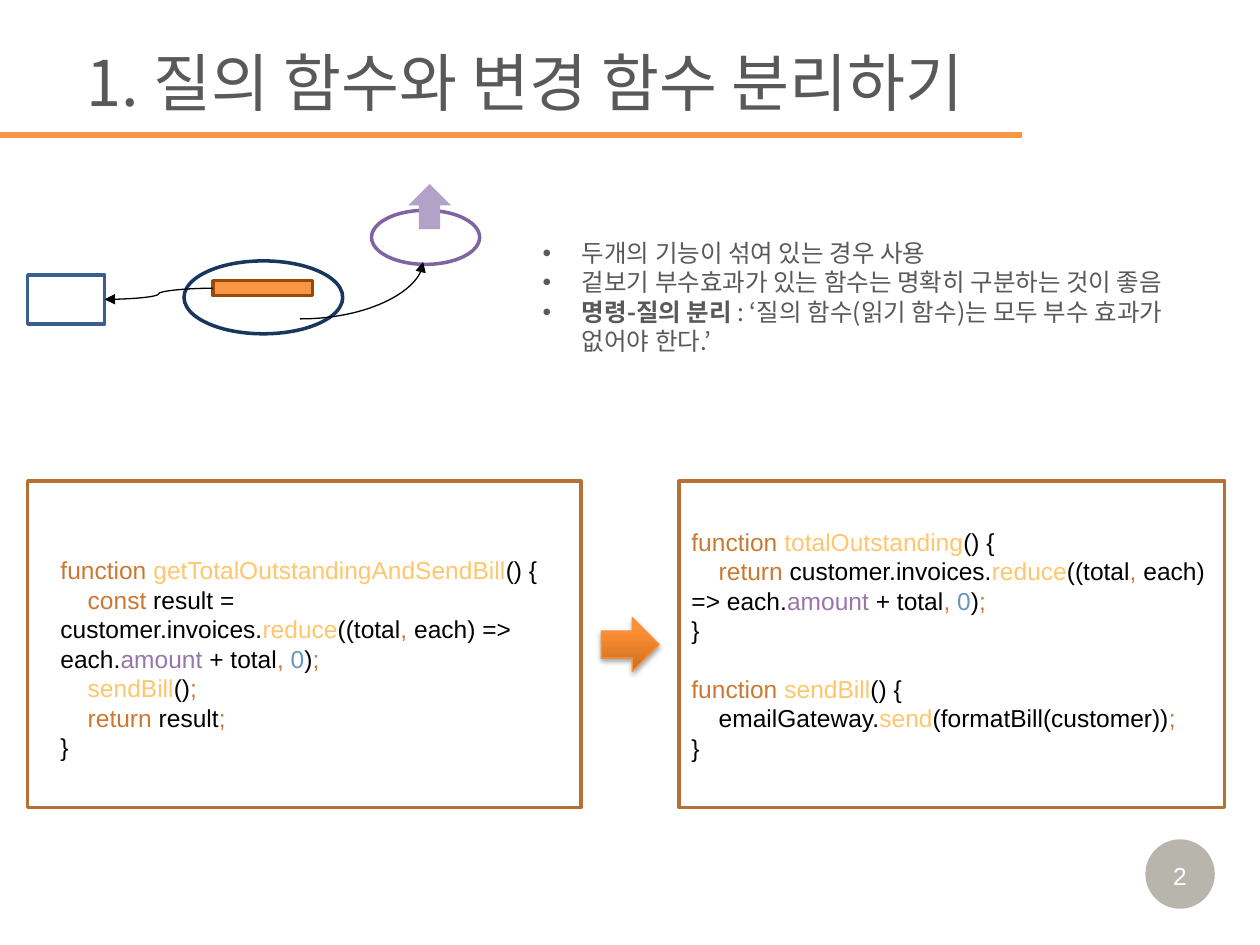
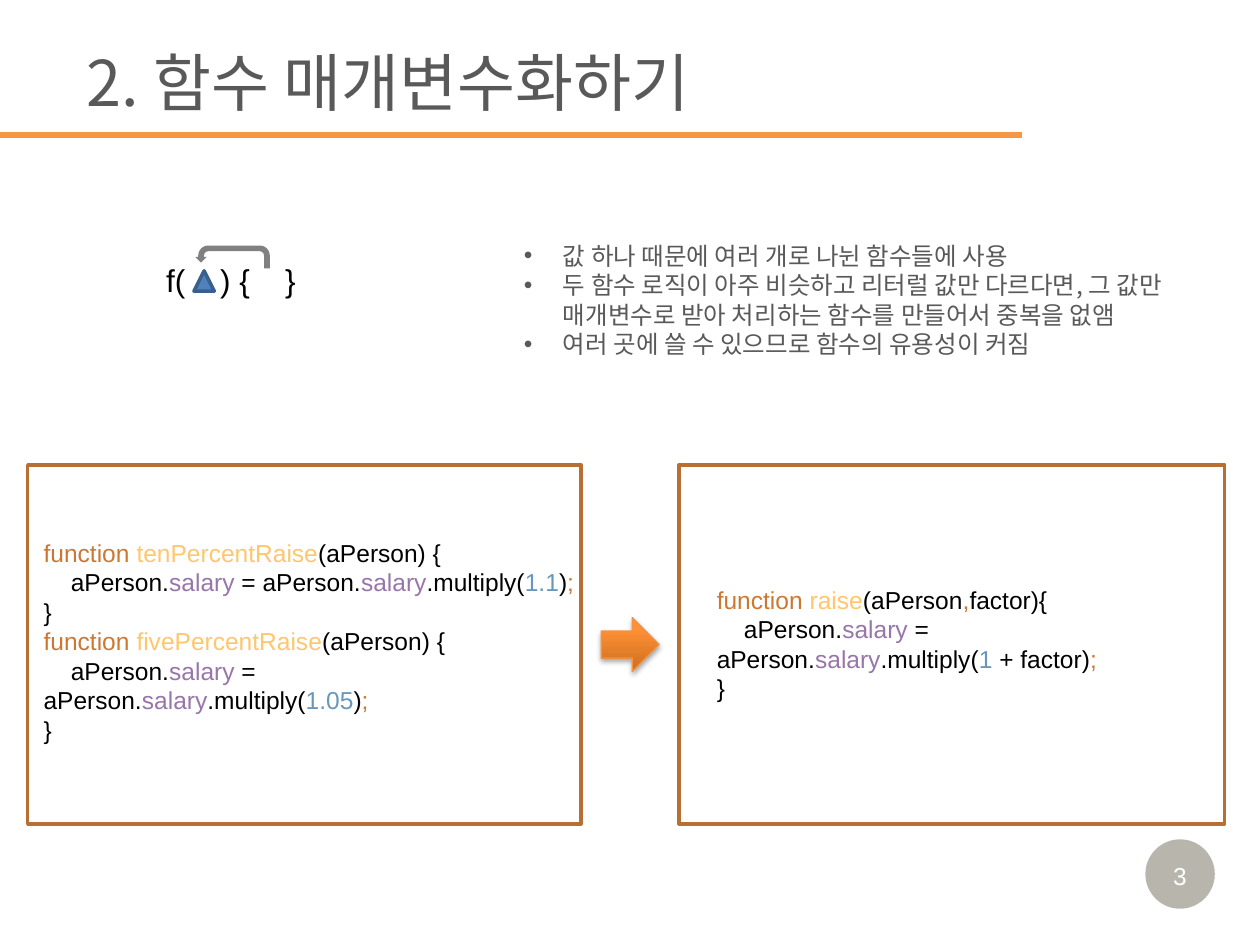
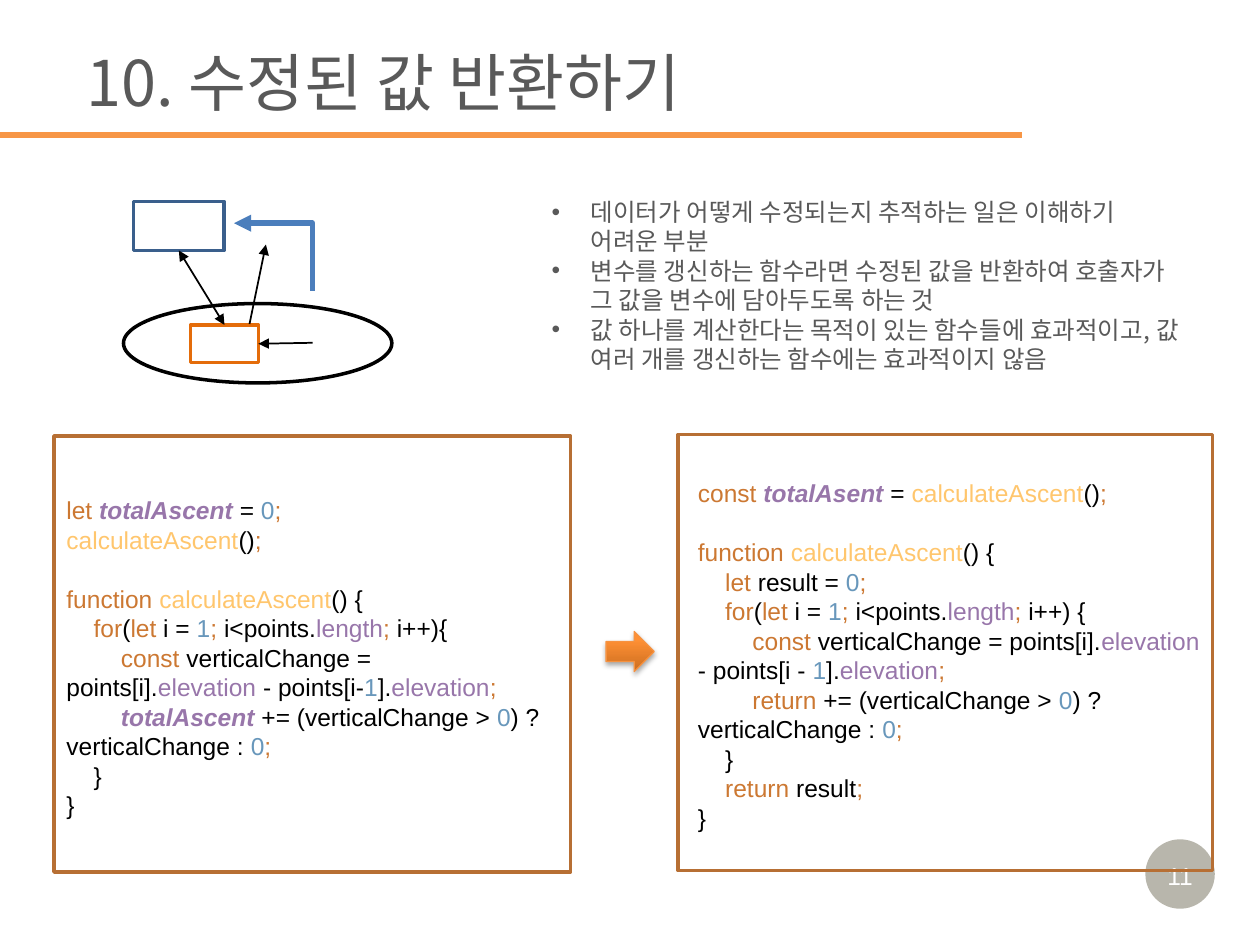
from itertools import groupby

from pptx import Presentation
from pptx.dml.color import RGBColor
from pptx.enum.shapes import MSO_CONNECTOR, MSO_SHAPE
from pptx.enum.text import MSO_ANCHOR, PP_ALIGN
from pptx.oxml.ns import qn
from pptx.util import Cm, Pt
from lxml import etree

RECT, OVAL = MSO_SHAPE.RECTANGLE, MSO_SHAPE.OVAL
RIGHT, UP = MSO_SHAPE.RIGHT_ARROW, MSO_SHAPE.UP_ARROW
TURN, PEAK = MSO_SHAPE.U_TURN_ARROW, MSO_SHAPE.ISOSCELES_TRIANGLE
LINE, CURVE, BENT = MSO_CONNECTOR.STRAIGHT, MSO_CONNECTOR.CURVE, MSO_CONNECTOR.ELBOW
TOP, MIDDLE, CENTER = MSO_ANCHOR.TOP, MSO_ANCHOR.MIDDLE, PP_ALIGN.CENTER

LATIN, KOREAN = "Arial", "Noto Sans CJK KR"
BLACK, WHITE, GRAY, ORANGE = "000000", "FFFFFF", "595959", "F79646"
FRAME, BLUE = "B76F34", "3A5F8C"
LEADING = Pt(16.85)
SPACE = Pt(3.89)

# Code colours by word
WORDS = {
    "CC7832": "function const return let for , ;",
    "FFC66D": "getTotalOutstandingAndSendBill totalOutstanding reduce sendBill send "
              "tenPercentRaise fivePercentRaise raise calculateAscent",
    "9876AA": "amount salary length elevation totalAscent totalAsent",
}
TINTS = {word: tint for tint, words in WORDS.items() for word in words.split()}
STRONG = {"totalAscent", "totalAsent"}


def rgb(code):
    return RGBColor.from_string(code)


def add(parent, tag, **attrs):
    """Append a DrawingML element."""
    node = etree.SubElement(parent, qn(tag))
    for key, value in attrs.items():
        node.set(key, str(value))
    return node


def assign(target, **values):
    for key, value in values.items():
        setattr(target, key, value)


def tokens(line):
    """Cut a code line into words, numbers and single marks."""
    def kind(i):
        decimal = line[i] == "." and line[i + 1:i + 2].isdigit()
        return "word" if line[i].isalnum() or decimal else i
    for _, group in groupby(range(len(line)), kind):
        yield "".join(line[i] for i in group)


def style(token):
    """Colour of a code token, and whether it is bold italic."""
    tint = "6897BB" if token[0].isdigit() else TINTS.get(token, BLACK)
    return tint, token in STRONG


class Deck:
    def __init__(self):
        self.prs = Presentation()
        assign(self.prs, slide_width=Cm(25.4), slide_height=Cm(19.05))
        self.slide = None

    # Basic elements
    def shape(self, kind, box, fill=None, line=None, width=2):
        item = self.slide.shapes.add_shape(kind, *map(Cm, box))
        item.shadow.inherit = False
        if fill:
            item.fill.solid()
            item.fill.fore_color.rgb = rgb(fill)
        else:
            item.fill.background()
        if line:
            item.line.color.rgb = rgb(line)
            item.line.width = Pt(width)
        else:
            item.line.fill.background()
        return item

    def link(self, kind, start, end, color=BLACK, width=1.0, ends=(), form=None):
        item = self.slide.shapes.add_connector(kind, *map(Cm, start + end))
        item.line.color.rgb = rgb(color)
        item.line.width = Pt(width)
        props = item._element.spPr
        if form:
            props.find(qn("a:prstGeom")).set("prst", form)
        for side in ends:
            add(props.find(qn("a:ln")), f"a:{side}End", type="triangle")
        add(props, "a:effectLst")
        return item

    def frame(self, box, anchor=TOP):
        frame = self.slide.shapes.add_textbox(*map(Cm, box)).text_frame
        assign(frame, word_wrap=True, vertical_anchor=anchor)
        return frame

    def run(self, para, text, size=14, color=BLACK, font=LATIN, **values):
        run = para.add_run()
        run.text = text
        assign(run.font, size=Pt(size), name=font, **values)
        run.font.color.rgb = rgb(color)
        add(run._r.get_or_add_rPr(), "a:ea", typeface=font)

    # Shared parts of a slide
    def page(self, title, number):
        self.slide = self.prs.slides.add_slide(self.prs.slide_layouts[6])
        dot = self.shape(OVAL, (23.09, 16.92, 1.4, 1.4), "4A452A")
        add(dot._element.spPr.find(".//" + qn("a:srgbClr")), "a:alpha", val=39000)
        frame = dot.text_frame
        assign(frame, word_wrap=False, vertical_anchor=MIDDLE, margin_left=0,
               margin_right=0, margin_top=Cm(0.08), margin_bottom=0)
        frame.paragraphs[0].alignment = CENTER
        self.run(frame.paragraphs[0], str(number), color=WHITE)
        head = self.frame((1.5, 0.74, 23.9, 1.8), MIDDLE)
        self.run(head.paragraphs[0], title, 36, GRAY, KOREAN)
        self.link(LINE, (0, 2.72), (20.6, 2.72), ORANGE, 3)

    def points(self, box, items):
        """Bulleted list; an item given as a pair starts in bold."""
        frame = self.frame(box, MIDDLE)
        for i, item in enumerate(items):
            para = frame.add_paragraph() if i else frame.paragraphs[0]
            para.line_spacing = LEADING
            props = para._p.get_or_add_pPr()
            props.set("marL", str(Cm(0.79)))
            props.set("indent", str(-Cm(0.79)))
            add(props, "a:buFont", typeface=LATIN)
            add(props, "a:buChar", char="•")
            *lead, rest = item if isinstance(item, tuple) else (item,)
            for text in lead:
                self.run(para, text, 14, GRAY, KOREAN, bold=True)
            self.run(para, rest, 14, GRAY, KOREAN)

    def code(self, box, source):
        """Coloured code, one paragraph a line."""
        frame = self.frame(box)
        para, gap = frame.paragraphs[0], 0
        for i, line in enumerate(source.strip().split("\n")):
            text = line.lstrip()
            if not text:
                gap = LEADING
                continue
            if i:
                para = frame.add_paragraph()
            assign(para, line_spacing=LEADING, space_before=gap)
            gap = 0
            depth = len(line) - len(text)
            para._p.get_or_add_pPr().set("indent", str(depth * SPACE))
            for (tint, strong), group in groupby(tokens(text), style):
                self.run(para, "".join(group), color=tint, bold=strong, italic=strong)

    def arrow(self, box):
        """Glossy arrow between the two panels."""
        item = self.shape(RIGHT, box, ORANGE, "F69240", 0.75)
        item.fill.gradient()
        item.fill.gradient_angle = 90
        stops = ((0, "CC6E20"), (0.8, "FF9034"))
        for stop, (place, tint) in zip(item.fill.gradient_stops, stops):
            stop.position = place
            stop.color.rgb = rgb(tint)
        glow = add(item._element.spPr.find(qn("a:effectLst")), "a:outerShdw",
                   blurRad=Pt(3.1), dist=Pt(1.8), dir=5400000, rotWithShape=0)
        add(add(glow, "a:srgbClr", val=BLACK), "a:alpha", val=35000)

    def compare(self, panels, arrow, boxes, sources):
        """Code before and after, with an arrow between."""
        self.arrow(arrow)
        for panel in panels:
            self.shape(RECT, panel, line=FRAME)
        for box, source in zip(boxes, sources):
            self.code(box, source)


ARROW = (12.12, 12.45, 1.17, 1.09)


def split(deck):
    deck.page("1. 질의 함수와 변경 함수 분리하기", 2)
    deck.points((10.69, 3.66, 14.4, 4.65), [
        "두개의 기능이 섞여 있는 경우 사용",
        "겉보기 부수효과가 있는 함수는 명확히 구분하는 것이 좋음",
        ("명령-질의 분리 ", ": ‘질의 함수(읽기 함수)는 모두 부수 효과가 없어야 한다.’"),
    ])
    # Sketch: one function with a query and a side effect
    query = deck.shape(RECT, (0.56, 5.54, 1.55, 0.99), line=BLUE)
    deck.shape(OVAL, (3.71, 5.26, 3.2, 1.47), line="17375E")
    bar = deck.shape(RECT, (4.29, 5.66, 2.01, 0.3), ORANGE, "984807")
    deck.shape(OVAL, (7.49, 4.24, 2.18, 1.09), line="8064A2")
    deck.shape(UP, (8.23, 3.71, 0.86, 0.91), "B3A2C7")
    deck.link(CURVE, (6.05, 6.43), (8.53, 5.28), width=0.75, ends=["tail"],
              form="curvedConnector2")
    curve = deck.link(CURVE, (4.29, 5.81), (2.11, 6.03), width=0.75, ends=["tail"])
    curve.begin_connect(bar, 1)
    curve.end_connect(query, 3)
    deck.compare(
        [(0.56, 9.7, 11.15, 6.58), (13.69, 9.7, 11, 6.58)], ARROW,
        [(0.97, 11.07, 10.16, 3.84), (13.69, 10.49, 11, 5.05)],
        ["""
function getTotalOutstandingAndSendBill() {
    const result = customer.invoices.reduce((total, each) => each.amount + total, 0);
    sendBill();
    return result;
}
""", """
function totalOutstanding() {
    return customer.invoices.reduce((total, each) => each.amount + total, 0);
}

function sendBill() {
    emailGateway.send(formatBill(customer));
}
"""])


def params(deck):
    deck.page("2. 함수 매개변수화하기", 3)
    deck.points((10.31, 4.01, 14.6, 4.06), [
        "값 하나 때문에 여러 개로 나뉜 함수들에 사용",
        "두 함수 로직이 아주 비슷하고 리터럴 값만 다르다면, 그 값만 "
        "매개변수로 받아 처리하는 함수를 만들어서 중복을 없앰",
        "여러 곳에 쓸 수 있으므로 함수의 유용성이 커짐",
    ])
    # Sketch: a value moves into the parameter list
    para = deck.frame((3.1, 5.13, 3.2, 1.02)).paragraphs[0]
    tabs = add(para._p.get_or_add_pPr(), "a:tabLst")
    for stop in (1.09, 2.4):
        add(tabs, "a:tab", pos=Cm(stop), algn="l")
    deck.run(para, "f(\t) {\t}", 18)
    deck.shape(PEAK, (3.91, 5.46, 0.41, 0.41), "4F81BD", BLUE)
    turn = deck.shape(TURN, (3.94, 4.95, 1.5, 0.46), "808080")
    turn._element.spPr.find(qn("a:xfrm")).set("flipH", "1")
    deck.compare(
        [(0.56, 9.37, 11.15, 7.24), (13.69, 9.37, 11, 7.24)], ARROW,
        [(0.63, 10.72, 11.45, 3.84), (14.2, 11.66, 10.03, 2.64)],
        ["""
function tenPercentRaise(aPerson) {
    aPerson.salary = aPerson.salary.multiply(1.1);
}
function fivePercentRaise(aPerson) {
    aPerson.salary = aPerson.salary.multiply(1.05);
}
""", """
function raise(aPerson,factor){
    aPerson.salary = aPerson.salary.multiply(1 + factor);
}
"""])


def result(deck):
    deck.page("10. 수정된 값 반환하기", 11)
    deck.points((10.87, 3.58, 13.23, 4.34), [
        "데이터가 어떻게 수정되는지 추적하는 일은 이해하기 어려운 부분",
        "변수를 갱신하는 함수라면 수정된 값을 반환하여 호출자가 그 값을 변수에 "
        "담아두도록 하는 것",
        "값 하나를 계산한다는 목적이 있는 함수들에 효과적이고, 값 여러 개를 "
        "갱신하는 함수에는 효과적이지 않음",
    ])
    # Sketch: a function hands its value back
    data = deck.shape(RECT, (2.69, 4.06, 1.83, 0.99), line=BLUE)
    deck.shape(OVAL, (2.49, 6.12, 5.41, 1.6), line=BLACK)
    value = deck.shape(RECT, (3.84, 6.55, 1.37, 0.76), line="E46C0A")
    entry = deck.link(LINE, (6.3, 6.91), (5.21, 6.93), ends=["tail"])
    entry.end_connect(value, 3)
    both = deck.link(LINE, (3.61, 5.05), (4.52, 6.55), ends=["head", "tail"])
    both.begin_connect(data, 2)
    both.end_connect(value, 0)
    deck.link(BENT, (4.72, 4.5), (6.3, 5.87), "4B7EBC", 3.25, ["head"],
              "bentConnector2")
    deck.link(LINE, (5.03, 6.53), (5.36, 4.93), ends=["tail"])
    deck.compare(
        [(1.09, 8.79, 10.41, 8.79), (13.67, 8.76, 10.77, 8.79)],
        (12.22, 12.73, 0.97, 0.81),
        [(1.09, 9.86, 10.41, 6.83), (13.82, 9.52, 10.7, 7.44)],
        ["""
let totalAscent = 0;
calculateAscent();

function calculateAscent() {
    for(let i = 1; i<points.length; i++){
        const verticalChange = points[i].elevation - points[i-1].elevation;
        totalAscent += (verticalChange > 0) ? verticalChange : 0;
    }
}
""", """
const totalAsent = calculateAscent();

function calculateAscent() {
    let result = 0;
    for(let i = 1; i<points.length; i++) {
        const verticalChange = points[i].elevation - points[i - 1].elevation;
        return += (verticalChange > 0) ? verticalChange : 0;
    }
    return result;
}
"""])


def main():
    deck = Deck()
    for build in (split, params, result):
        build(deck)
    deck.prs.save("out.pptx")


if __name__ == "__main__":
    main()
